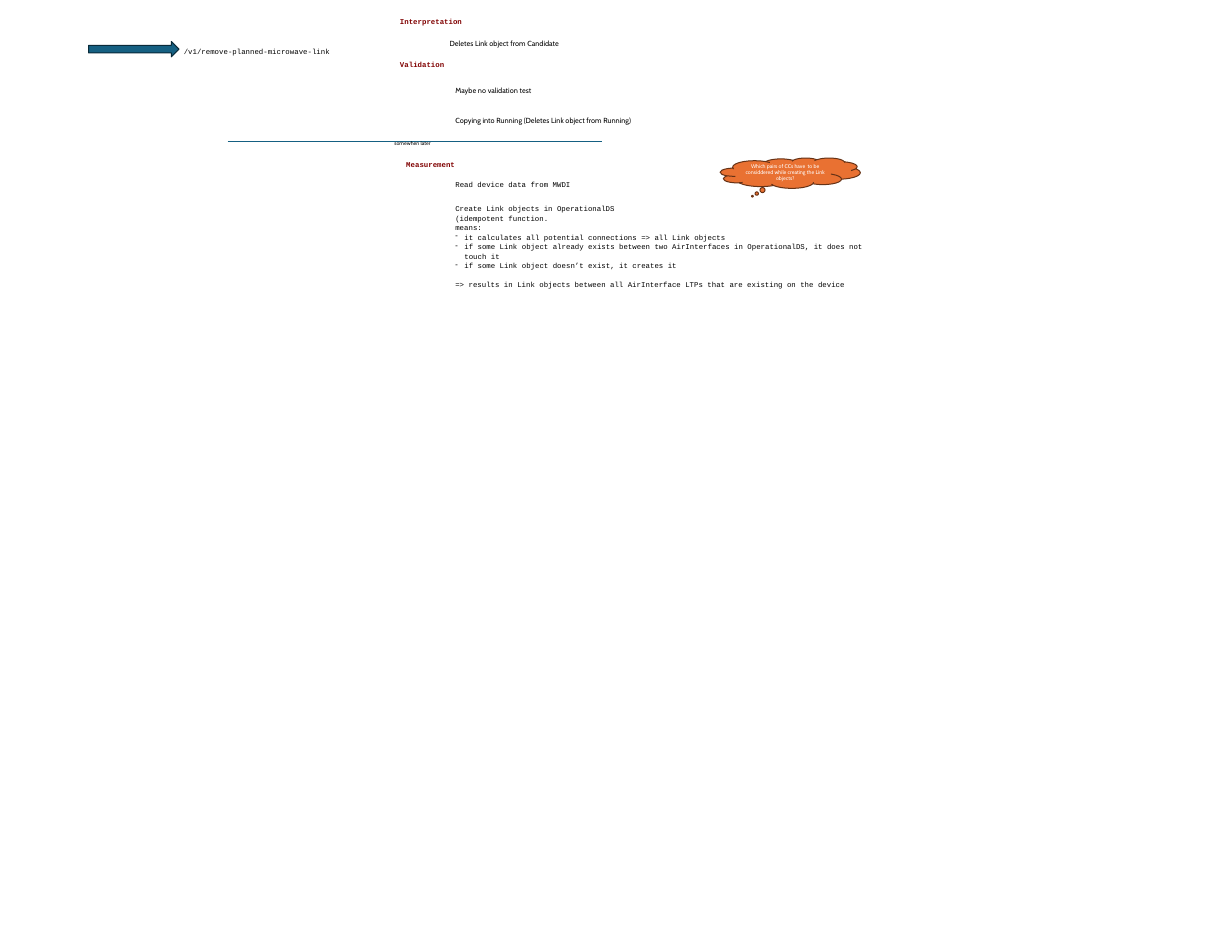
from lxml import etree
from pptx import Presentation
from pptx.dml.color import RGBColor
from pptx.enum.shapes import MSO_CONNECTOR, MSO_SHAPE
from pptx.enum.text import MSO_ANCHOR, MSO_AUTO_SIZE, PP_ALIGN
from pptx.oxml.ns import qn
from pptx.util import Pt

RIGHT_ARROW, CLOUD = MSO_SHAPE.RIGHT_ARROW, MSO_SHAPE.CLOUD_CALLOUT
STRAIGHT = MSO_CONNECTOR.STRAIGHT
MIDDLE, CENTER = MSO_ANCHOR.MIDDLE, PP_ALIGN.CENTER
FIT_SHAPE = MSO_AUTO_SIZE.SHAPE_TO_FIT_TEXT

BLUE = RGBColor(0x15, 0x60, 0x82)
DARK_BLUE = RGBColor(0x09, 0x2A, 0x39)
ORANGE = RGBColor(0xE9, 0x71, 0x32)
BROWN = RGBColor(0x66, 0x32, 0x16)
MAROON = RGBColor(0x80, 0x00, 0x00)
BLACK = RGBColor(0x00, 0x00, 0x00)
WHITE = RGBColor(0xFF, 0xFF, 0xFF)

SANS, MONO = "Cabin", "Courier New"
MONO_LEADING = 14.2
BULLET_INDENT = 13.5


def format_paragraph(paragraph, text, font=SANS, size=11, color=BLACK, bold=False):
    paragraph.text = text
    if font == MONO:
        paragraph.line_spacing = Pt(MONO_LEADING)
    paragraph.font.name = font
    paragraph.font.size = Pt(size)
    paragraph.font.color.rgb = color
    paragraph.font.bold = bold


def add_dash(paragraph):
    properties = paragraph._p.get_or_add_pPr()
    properties.set("marL", str(Pt(BULLET_INDENT)))
    properties.set("indent", str(-Pt(BULLET_INDENT)))
    etree.SubElement(properties, qn("a:buChar")).set("char", "-")


def add_text(slide, text, left, top, width, height=21.5, wrap=True, **style):
    """Each line of text becomes a paragraph; a leading "- " makes it a bullet."""
    box = slide.shapes.add_textbox(Pt(left), Pt(top), Pt(width), Pt(height))
    frame = box.text_frame
    frame.word_wrap = wrap
    frame.auto_size = FIT_SHAPE
    for index, line in enumerate(text.split("\n")):
        paragraph = frame.paragraphs[0] if index == 0 else frame.add_paragraph()
        if line.startswith("- "):
            add_dash(paragraph)
        format_paragraph(paragraph, line.removeprefix("- "), **style)
    return frame


def add_heading(slide, text, left, top, width):
    add_text(slide, text, left, top, width, font=MONO, color=MAROON, bold=True)


def add_filled_shape(slide, kind, left, top, width, height, fill, line):
    shape = slide.shapes.add_shape(kind, Pt(left), Pt(top), Pt(width), Pt(height))
    shape.shadow.inherit = False
    shape.fill.solid()
    shape.fill.fore_color.rgb = fill
    shape.line.color.rgb = line
    shape.line.width = Pt(1.5)
    return shape


def add_request(slide, left, top, width):
    arrow_width = 135.3
    add_filled_shape(slide, RIGHT_ARROW, left, top, arrow_width, 23, BLUE, DARK_BLUE)
    add_text(slide, "/v1/remove-planned-microwave-link", left + arrow_width, top + 3.5,
             width - arrow_width, font=MONO)


def add_link_removal(slide, left, top):
    # Interpretation
    add_heading(slide, "Interpretation", left, top, 166)
    add_text(slide, "Deletes Link object from Candidate", left + 74.2, top + 34.5,
             183.6, wrap=False)
    # Validation
    add_heading(slide, "Validation", left, top + 64, 214)
    add_text(slide, "Maybe no validation test", left + 82.8, top + 104.4, 131, wrap=False)
    add_text(slide, "Copying into Running (Deletes Link object from Running)",
             left + 82.8, top + 149.7, 283.7, wrap=False)


def add_divider(slide, left, top, width):
    line = slide.shapes.add_connector(STRAIGHT, Pt(left), Pt(top), Pt(left + width), Pt(top))
    line.line.color.rgb = BLUE
    line.line.width = Pt(1.5)
    etree.SubElement(line._element.spPr, qn("a:effectLst"))
    add_text(slide, "somewhen later", left + 242, top - 5.8, 70.6, 17.3, wrap=False, size=8)


def add_measurement(slide, left, top, width):
    step_left = left + 73.4
    add_heading(slide, "Measurement", left, top, 128)
    add_text(slide, "Read device data from MWDI", step_left, top + 30.3, 288.7, font=MONO)
    creation = add_text(
        slide,
        "Create Link objects in OperationalDS\n"
        "(idempotent function.\n"
        "means:\n"
        "- it calculates all potential connections => all Link objects\n"
        "- if some Link object already exists between two AirInterfaces in OperationalDS, "
        "it does not touch it\n"
        "- if some Link object doesn’t exist, it creates it\n"
        "=> results in Link objects between all AirInterface LTPs that are existing "
        "on the device",
        step_left, top + 66.3, width - 73.4, 119.5, font=MONO)
    creation.paragraphs[-1].space_before = Pt(MONO_LEADING)


def add_question(slide, left, top, width, height):
    cloud = add_filled_shape(slide, CLOUD, left, top, width, height, ORANGE, BROWN)
    cloud.adjustments[0] = -0.27
    cloud.adjustments[1] = 0.76
    frame = cloud.text_frame
    frame.word_wrap = True
    frame.vertical_anchor = MIDDLE
    paragraph = frame.paragraphs[0]
    paragraph.alignment = CENTER
    format_paragraph(
        paragraph,
        "Which pairs of CCs have  to be considdered while creating the Link objects?",
        size=8, color=WHITE)


def main():
    presentation = Presentation()
    presentation.slide_width = Pt(1842.5)
    presentation.slide_height = Pt(1417.7)
    slide = presentation.slides.add_slide(presentation.slide_layouts[6])
    add_request(slide, 132.5, 62, 489)
    add_link_removal(slide, 591.1, 20.9)
    add_divider(slide, 340.6, 211.7, 559.4)
    add_measurement(slide, 600.5, 234.7, 704)
    add_question(slide, 1077.1, 236.2, 209.5, 45.4)
    presentation.save("out.pptx")


if __name__ == "__main__":
    main()
